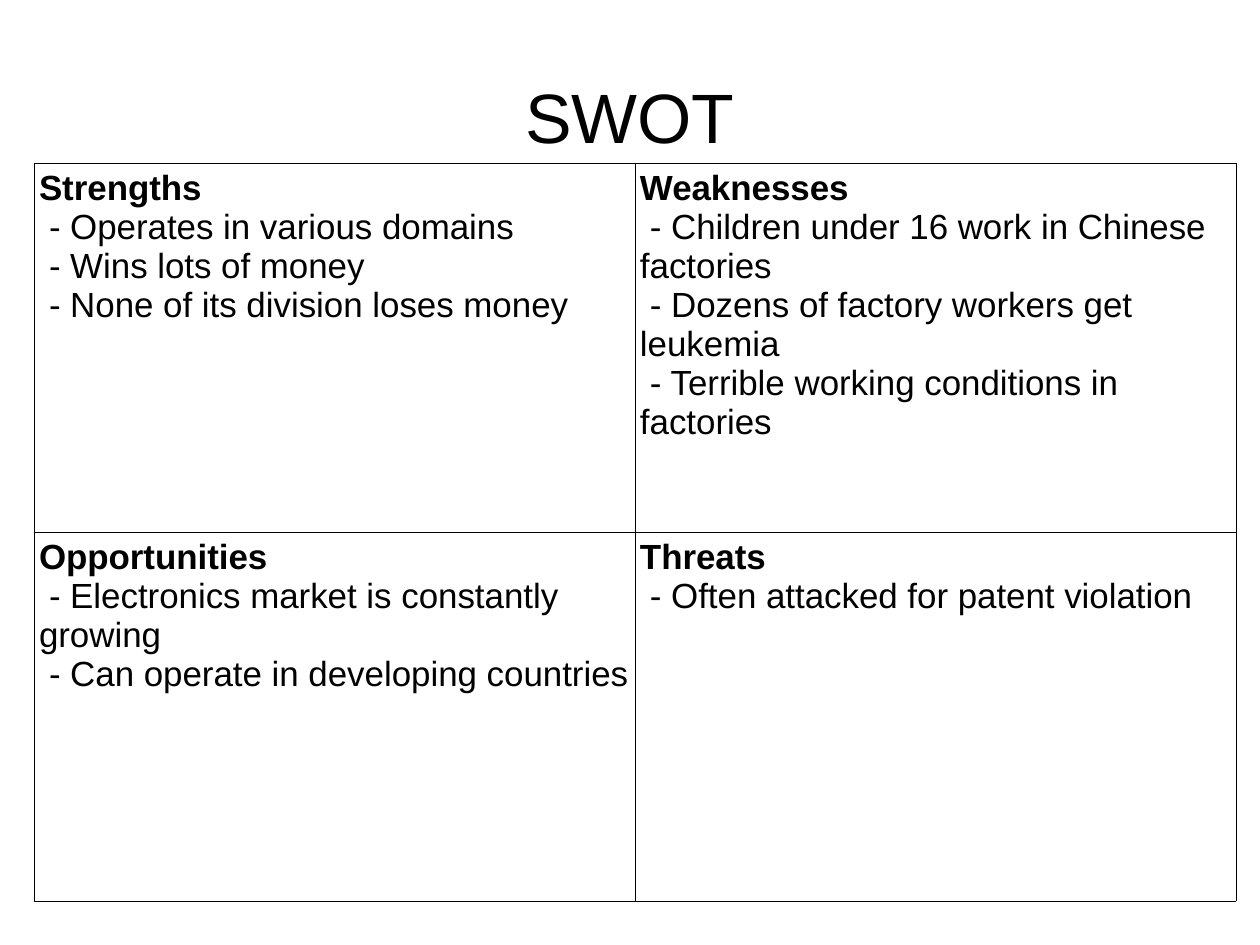
"""Build a SWOT slide with a title and a two by two table."""
from lxml import etree
from pptx import Presentation
from pptx.dml.color import RGBColor
from pptx.enum.text import MSO_ANCHOR, PP_ALIGN
from pptx.oxml.ns import qn
from pptx.util import Pt

PX = 8000
BLACK = RGBColor(0, 0, 0)
FONT = "Arial"
CENTER = PP_ALIGN.CENTER
TOP, MIDDLE = MSO_ANCHOR.TOP, MSO_ANCHOR.MIDDLE
COL_W, ROW_H = 601, 369

SWOT = [
    [("Strengths", ["Operates in various domains",
                    "Wins lots of money",
                    "None of its division loses money"]),
     ("Weaknesses", ["Children under 16 work in Chinese factories",
                     "Dozens of factory workers get leukemia",
                     "Terrible working conditions in factories"])],
    [("Opportunities", ["Electronics market is constantly growing",
                        "Can operate in developing countries"]),
     ("Threats", ["Often attacked for patent violation"])],
]


def add_text(p, text, size, bold=False):
    r = p.add_run()
    r.text = text
    r.font.name, r.font.size, r.font.bold = FONT, Pt(size), bold
    r.font.color.rgb = BLACK


def add_borders(cell):
    tcPr = cell._tc.get_or_add_tcPr()
    for side in ("a:lnL", "a:lnR", "a:lnT", "a:lnB"):
        ln = etree.SubElement(tcPr, qn(side), w=str(Pt(0.57)))
        fill = etree.SubElement(ln, qn("a:solidFill"))
        etree.SubElement(fill, qn("a:srgbClr"), val=str(BLACK))


prs = Presentation()
prs.slide_width, prs.slide_height = 1260 * PX, 945 * PX
s = prs.slides.add_slide(prs.slide_layouts[5])

title = s.shapes.title
title.left, title.top, title.width, title.height = 63 * PX, 43 * PX, 1134 * PX, 146 * PX
tf = title.text_frame
tf.margin_left = tf.margin_right = tf.margin_top = tf.margin_bottom = 0
tf.vertical_anchor = MIDDLE
p = tf.paragraphs[0]
p.alignment = CENTER
add_text(p, "SWOT", 44)

table = s.shapes.add_table(2, 2, 34 * PX, 163 * PX, 2 * COL_W * PX, 2 * ROW_H * PX).table
table.first_row = table.horz_banding = False
for i, quadrants in enumerate(SWOT):
    for j, (heading, points) in enumerate(quadrants):
        cell = table.cell(i, j)
        add_borders(cell)
        cell.fill.background()
        cell.margin_left = cell.margin_right = 5 * PX
        cell.margin_top = cell.margin_bottom = 6 * PX
        cell.vertical_anchor = TOP
        tf = cell.text_frame
        add_text(tf.paragraphs[0], heading, 22, bold=True)
        for point in points:
            p = tf.add_paragraph()
            pPr = p._p.get_or_add_pPr()
            pPr.set("marL", "0")
            pPr.set("indent", str(10 * PX))
            add_text(p, "- " + point, 22)

prs.save("out.pptx")
